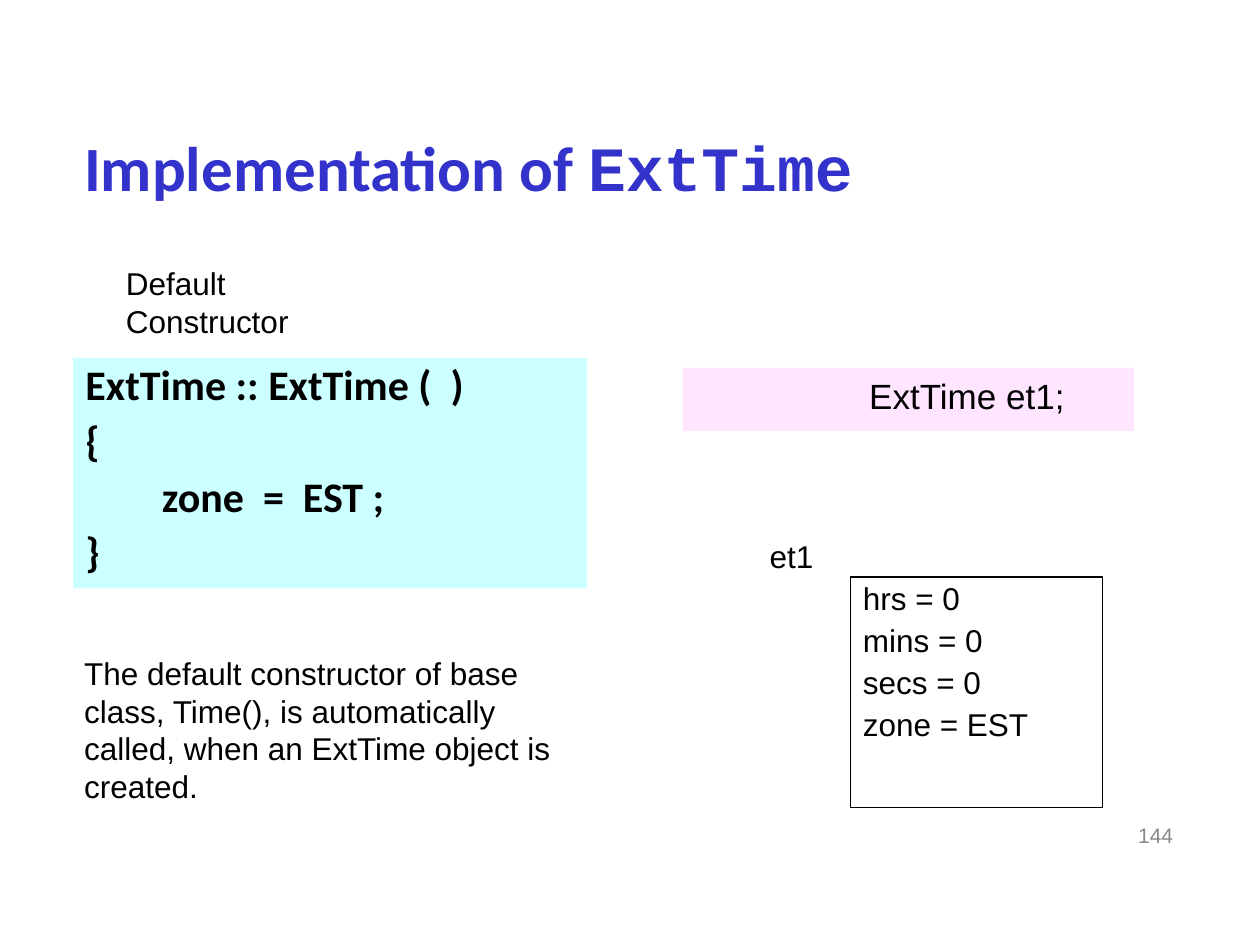
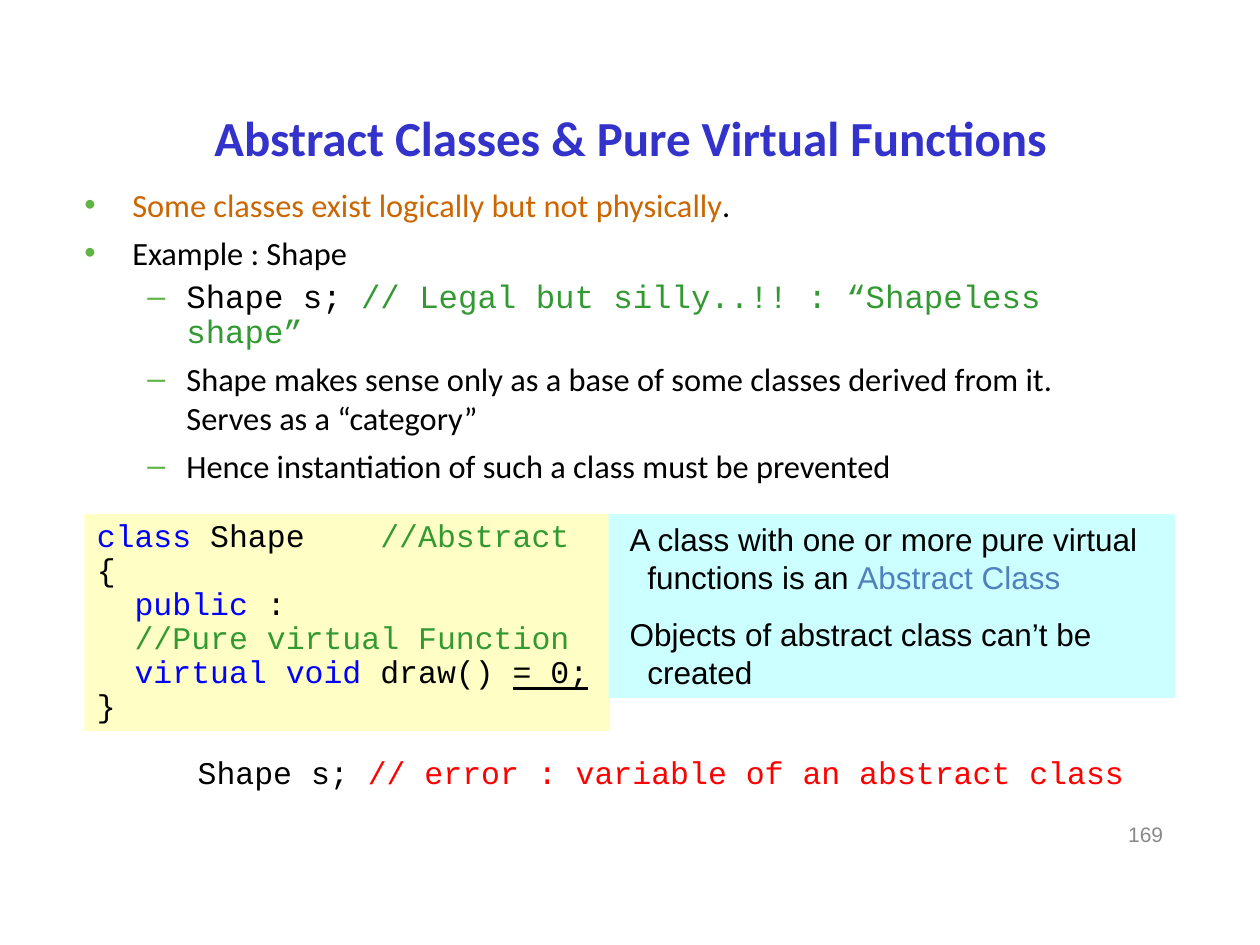
from dataclasses import dataclass, replace

from lxml.etree import SubElement
from pptx import Presentation
from pptx.dml.color import RGBColor
from pptx.enum.shapes import MSO_SHAPE
from pptx.enum.text import MSO_ANCHOR, MSO_AUTO_SIZE, PP_ALIGN
from pptx.oxml.ns import qn
from pptx.util import Inches, Pt


@dataclass(frozen=True)
class Style:
    font: str
    size: float
    colour: str = "000000"
    bold: bool = False
    underline: bool = False


class Theme:
    black, line = "000000", 0.75
    cyan, pink, yellow = "CCFFFF", "FFE5FF", "FFFFC5"
    bullet = "61B546"
    title = Style("Calibri", 36, "3333CC", bold=True)
    number = Style("Arial", 12, "898989")
    note = Style("Arial", 18)
    call = Style("Arial", 20)
    term = Style("Arial", 18, "4F81BD")
    definition = Style("Calibri", 24, bold=True)
    body = Style("Calibri", 18.5)
    emphasis = Style("Calibri", 18.5, "CC6600")
    code = Style("Courier New", 18)
    keyword = replace(code, colour="0000FF")
    comment = replace(code, colour="339933")
    error = replace(code, colour="FF0000")


def add_paragraph(frame, runs, first, before=0, spacing=None, align=None,
                  margin=0, indent=0, bullet=None, level=0):
    paragraph = frame.paragraphs[0] if first else frame.add_paragraph()
    properties = paragraph._p.get_or_add_pPr()
    properties.set("marL", str(Inches(margin)))
    properties.set("indent", str(Inches(indent)))
    if bullet:
        colour = SubElement(properties, qn("a:buClr"))
        SubElement(colour, qn("a:srgbClr"), val=Theme.bullet)
        SubElement(properties, qn("a:buFont"), typeface="Arial")
        SubElement(properties, qn("a:buChar"), char=bullet)
    paragraph.level = level
    paragraph.alignment = align or PP_ALIGN.LEFT
    if spacing:
        paragraph.line_spacing = spacing
    paragraph.space_before = Pt(0 if first else before)
    for text, style in runs:
        run = paragraph.add_run()
        run.text = text
        run.font.name = style.font
        run.font.size = Pt(style.size)
        run.font.bold = style.bold
        run.font.underline = style.underline
        run.font.color.rgb = RGBColor.from_string(style.colour)


def add_block(slide, place, paragraphs, fill=None, outlined=False,
              anchor=MSO_ANCHOR.TOP, wrap=True, inset=0.1, **layout):
    """Each paragraph is a list of (text, style) runs, or (runs, layout)."""
    box = [Inches(length) for length in place]
    if fill or outlined:
        block = slide.shapes.add_shape(MSO_SHAPE.RECTANGLE, *box)
        block.shadow.inherit = False
        if fill:
            block.fill.solid()
            block.fill.fore_color.rgb = RGBColor.from_string(fill)
        else:
            block.fill.background()
        if outlined:
            block.line.color.rgb = RGBColor.from_string(Theme.black)
            block.line.width = Pt(Theme.line)
        else:
            block.line.fill.background()
    else:
        block = slide.shapes.add_textbox(*box)
    frame = block.text_frame
    frame.word_wrap = wrap
    frame.auto_size = MSO_AUTO_SIZE.NONE if wrap else MSO_AUTO_SIZE.SHAPE_TO_FIT_TEXT
    frame.vertical_anchor = anchor
    frame.margin_left = frame.margin_right = Inches(inset)
    frame.margin_top = frame.margin_bottom = Inches(0.05)
    for position, paragraph in enumerate(paragraphs):
        runs, own = paragraph if isinstance(paragraph, tuple) else (paragraph, {})
        add_paragraph(frame, runs, position == 0, **{**layout, **own})


presentation = Presentation()
presentation.slide_width = Inches(10)
presentation.slide_height = Inches(7.5)
blank = presentation.slide_layouts[6]
implementation = presentation.slides.add_slide(blank)
abstract = presentation.slides.add_slide(blank)

# Slide numbers
for slide, number, place in [
    (implementation, "144", (7.08, 6.43, 2.33, 0.4)),
    (abstract, "169", (7.75, 6.43, 1.58, 0.38)),
]:
    add_block(slide, place, [[(number, Theme.number)]],
              anchor=MSO_ANCHOR.MIDDLE, align=PP_ALIGN.RIGHT)

# Titles
add_block(implementation, (0.57, 0.75, 8.58, 0.92),
          [[("Implementation of ", Theme.title),
            ("ExtTime", replace(Theme.title, font="Courier New"))]],
          anchor=MSO_ANCHOR.BOTTOM)
add_block(abstract, (0.67, 0.75, 8.67, 0.67),
          [[("Abstract Classes & Pure Virtual Functions",
             replace(Theme.title, size=28))]],
          anchor=MSO_ANCHOR.MIDDLE, align=PP_ALIGN.CENTER, inset=0)

# Default constructor: heading, definition and explanation
add_block(implementation, (0.9, 2.05, 2.35, 0.4),
          [[("Default Constructor", Theme.note)]], wrap=False)
definition = ["ExtTime :: ExtTime (  )", "{", "\t   zone  =  EST ;", "}"]
add_block(implementation, (0.58, 2.84, 4.08, 1.83),
          [[(line, Theme.definition)] for line in definition],
          fill=Theme.cyan, before=6, spacing=0.9, margin=0.38, indent=-0.38)
add_block(implementation, (0.57, 5.14, 4.18, 1.3),
          [[("The default constructor of base class, Time(), is automatically "
             "called, when an ExtTime object is created.", Theme.note)]])

# Declaration of et1 and the state of the object
add_block(implementation, (5.42, 2.92, 3.58, 0.5),
          [[("ExtTime et1;", Theme.call)]], fill=Theme.pink, margin=1.38)
members = ["hrs = 0", "mins = 0", "secs = 0", "zone = EST"]
add_block(implementation, (6.75, 4.58, 2, 1.83),
          [[(member, Theme.note)] for member in members],
          outlined=True, before=4.5, spacing=0.9, margin=0.38, indent=-0.38)
add_block(implementation, (6.01, 4.21, 0.55, 0.4),
          [[("et1", Theme.note)]], wrap=False)

# Why abstract classes exist
point = dict(bullet="•", margin=0.38, indent=-0.38)
subpoint = dict(bullet="–", margin=0.81, indent=-0.31, level=1)
add_block(abstract, (0.67, 1.42, 8.33, 2.67), [
    ([("Some classes exist logically but not physically", Theme.emphasis),
      (".", Theme.body)], point),
    ([("Example : Shape", Theme.body)], point),
    ([("Shape s; ", replace(Theme.code, size=18.5)),
      ("// Legal but silly..!! : “Shapeless shape”",
       replace(Theme.comment, size=18.5))], {**subpoint, "spacing": 0.9}),
    ([("Shape makes sense only as a base of some classes derived from it. "
       "Serves as a “category”", Theme.body)], subpoint),
    ([("Hence instantiation of such a class must be prevented", Theme.body)],
     subpoint),
], inset=0, before=5)

# Class listing
add_block(abstract, (0.67, 4.08, 4.17, 1.72), [
    [("class", Theme.keyword), (" Shape    ", Theme.code),
     ("//Abstract", Theme.comment)],
    [("{", Theme.code)],
    [("  public", Theme.keyword), (" :", Theme.code)],
    [("  //Pure virtual Function", Theme.comment)],
    [("  virtual void", Theme.keyword), (" draw() ", Theme.code),
     ("= 0;", replace(Theme.code, underline=True))],
    [("}", Theme.code)],
], fill=Theme.yellow, spacing=0.9)

# Rules for abstract classes
add_block(abstract, (4.83, 4.08, 4.5, 1.46), [
    [("A class with one or more pure virtual functions is an ", Theme.note),
     ("Abstract Class", Theme.term)],
    [("Objects of abstract class can’t be created", Theme.note)],
], fill=Theme.cyan, before=11.2, margin=0.21, indent=-0.14)

# Forbidden declaration
add_block(abstract, (1.47, 5.93, 7.55, 0.4),
          [[("Shape s; ", Theme.code),
            ("// error : variable of an abstract class", Theme.error)]],
          wrap=False)

presentation.save("out.pptx")
